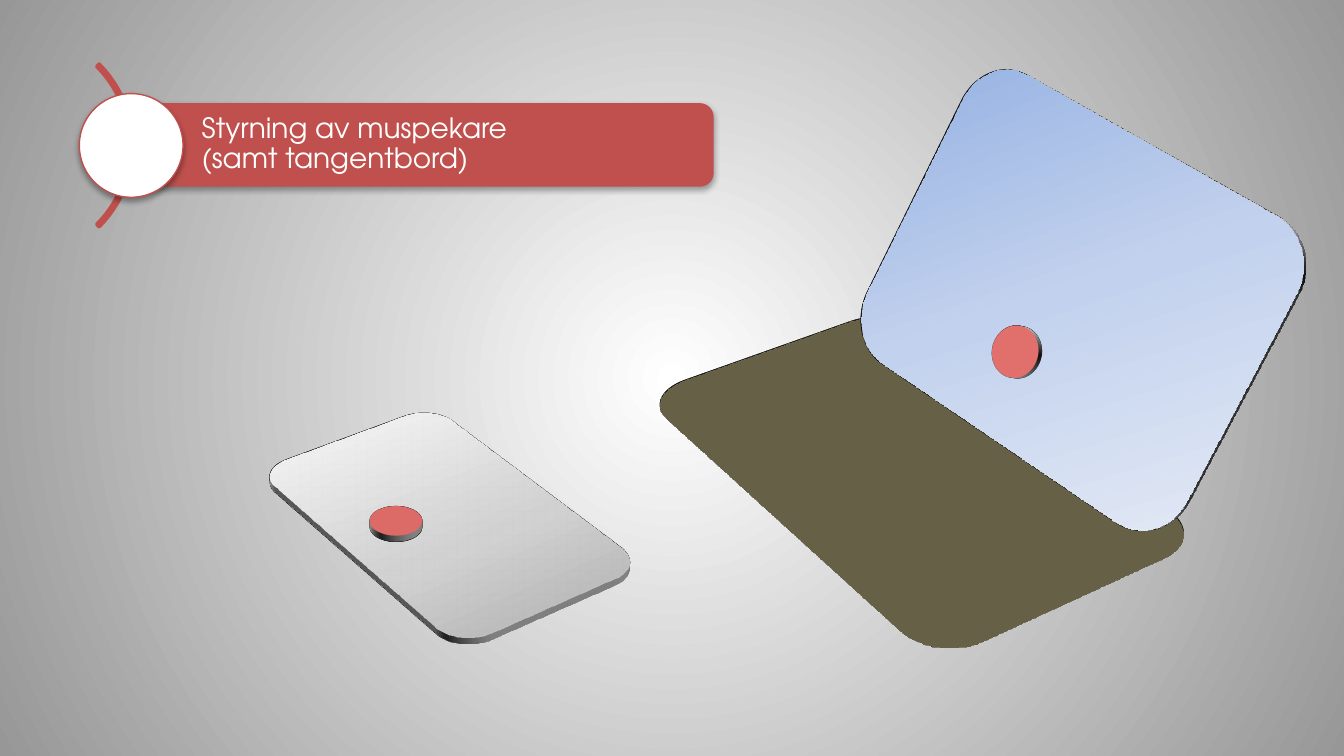
import pptx
import pptx.util
import pptx.dml.color
import pptx.enum.shapes
import pptx.enum.text
import pptx.oxml
import pptx.oxml.ns

Cm = pptx.util.Cm
Pt = pptx.util.Pt
SHAPES = pptx.enum.shapes.MSO_SHAPE
NAMESPACE = pptx.oxml.ns.nsdecls("a")
RED, WHITE = "C0504D", "FFFFFF"
# Camera turns in degrees: latitude, longitude, revolution
LYING = (317.7, 320.15, 51.1)
STANDING = (9.1, 28.2, 333)


def color(value):
    return pptx.dml.color.RGBColor.from_string(value)


def paint_gradient(fill, stops, angle):
    fill.gradient()
    fill.gradient_angle = (360 - angle) % 360
    stop_list = fill._fill._gradFill.find(pptx.oxml.ns.qn("a:gsLst"))
    stop_list.clear()
    for place, value in stops:
        stop_list.append(pptx.oxml.parse_xml(
            f'<a:gs {NAMESPACE} pos="{place * 1000}"><a:srgbClr val="{value}"/></a:gs>'))


def add_preset(page, kind, box, fill, line=None, width=2.75):
    """Add a shape filled with one colour, or with (stops, angle)."""
    shape = page.shapes.add_shape(kind, *(Cm(value) for value in box))
    shape.shadow.inherit = False
    if isinstance(fill, tuple):
        paint_gradient(shape.fill, *fill)
    else:
        shape.fill.solid()
        shape.fill.fore_color.rgb = color(fill)
    if line:
        shape.line.color.rgb = color(line)
        shape.line.width = Pt(width)
    else:
        shape.line.fill.background()
    return shape


def drop_shadow(shape, opacity=35, blur=3.1, distance=1.8, angle=90):
    effects = shape._element.spPr.find(pptx.oxml.ns.qn("a:effectLst"))
    effects.append(pptx.oxml.parse_xml(
        f'<a:outerShdw {NAMESPACE} blurRad="{Pt(blur)}" dist="{Pt(distance)}" '
        f'dir="{angle * 60000}" rotWithShape="0"><a:srgbClr val="000000">'
        f'<a:alpha val="{opacity * 1000}"/></a:srgbClr></a:outerShdw>'))


def draw_solid(page, kind, box, fill, turns, depth):
    """Add a preset shape turned in space, with a thickness in points."""
    solid = add_preset(page, kind, box, fill, WHITE)
    drop_shadow(solid, 43, 25, 0, 45)
    lat, lon, rev = (round(turn * 60000) for turn in turns)
    properties = solid._element.spPr
    properties.append(pptx.oxml.parse_xml(
        f'<a:scene3d {NAMESPACE}><a:camera prst="perspectiveRelaxed">'
        f'<a:rot lat="{lat}" lon="{lon}" rev="{rev}"/></a:camera>'
        '<a:lightRig rig="threePt" dir="t"/></a:scene3d>'))
    properties.append(pptx.oxml.parse_xml(
        f'<a:sp3d {NAMESPACE} extrusionH="{Pt(depth)}"/>'))


def draw_background(page):
    paint_gradient(page.background.fill, [(0, WHITE), (100, "979797")], 0)
    linear = page._element.find(".//" + pptx.oxml.ns.qn("a:lin"))
    linear.getparent().replace(linear, pptx.oxml.parse_xml(
        f'<a:path {NAMESPACE} path="circle">'
        '<a:fillToRect l="50000" t="50000" r="50000" b="50000"/></a:path>'))


def draw_trackpad(page, box):
    grey = ([(0, "BDBDBD"), (35, "D1D1D1"), (100, "EEEEEE")], 270)
    draw_solid(page, SHAPES.ROUNDED_RECTANGLE, box, grey, LYING, 4)


def draw_laptop(page, box):
    left, top = box[:2]
    blue = ([(0, "9AB5E4"), (50, "C2D1ED"), (100, "E1E8F5")], 45)
    draw_solid(page, SHAPES.ROUNDED_RECTANGLE, (left, top + 1.4, 5.99, 10.01),
               "4A452A", LYING, 0)
    draw_solid(page, SHAPES.ROUNDED_RECTANGLE, (left + 1.9, top, 8.2, 6.4),
               blue, STANDING, 3)


def draw_buttons(page, size):
    for left, top, turns in ((6.99, 9.35, LYING), (18.69, 6.15, STANDING)):
        draw_solid(page, SHAPES.OVAL, (left, top, size, size), RED, turns, 4)


def draw_heading(page, box, lines):
    left, top, width, height = box
    # Arc behind the circle
    arc = add_preset(page, SHAPES.BLOCK_ARC, (left - 3.33, top - 1.19, 4.34, 4.34),
                     RED, RED, 2)
    for index, value in enumerate((189, 27, 0.014)):
        arc.adjustments[index] = value
    # Bar
    bar = add_preset(page, SHAPES.ROUNDED_RECTANGLE,
                     (left + 0.96, top + 0.18, width - 0.96, height - 0.38), RED)
    drop_shadow(bar)
    # Title over the bar
    title = page.shapes.title
    page.shapes._spTree.append(title._element)
    title.left, title.top = Cm(left + 1.04), Cm(top + 0.25)
    title.width, title.height = Cm(width - 1.12), Cm(height - 0.53)
    frame = title.text_frame
    frame.word_wrap = True
    frame.auto_size = pptx.enum.text.MSO_AUTO_SIZE.NONE
    frame.vertical_anchor = pptx.enum.text.MSO_ANCHOR.MIDDLE
    frame.margin_left = Cm(1.27)
    frame.margin_top = frame.margin_right = frame.margin_bottom = Cm(0.1)
    para = frame.paragraphs[0]
    para.alignment = pptx.enum.text.PP_ALIGN.LEFT
    para.line_spacing = 0.9
    for index, line in enumerate(lines):
        if index:
            para.add_line_break()
        span = para.add_run()
        span.text = line
        span.font.name = "TeX Gyre Adventor"
        span.font.size = Pt(15)
        span.font.color.rgb = color(WHITE)
    # Circle
    circle = add_preset(page, SHAPES.OVAL, (left, top, height, height), WHITE, RED, 0.75)
    drop_shadow(circle)


deck = pptx.Presentation()
deck.slide_width, deck.slide_height = Cm(25.4), Cm(14.29)
page = deck.slides.add_slide(deck.slide_layouts[5])
draw_background(page)
draw_trackpad(page, (6.3, 6.35, 4.19, 6.81))
draw_laptop(page, (14.2, 2.34))
draw_buttons(page, 0.99)
draw_heading(page, (1.5, 1.77, 11.99, 1.96),
             ["Styrning av muspekare ", "(samt tangentbord)"])
deck.save("out.pptx")
